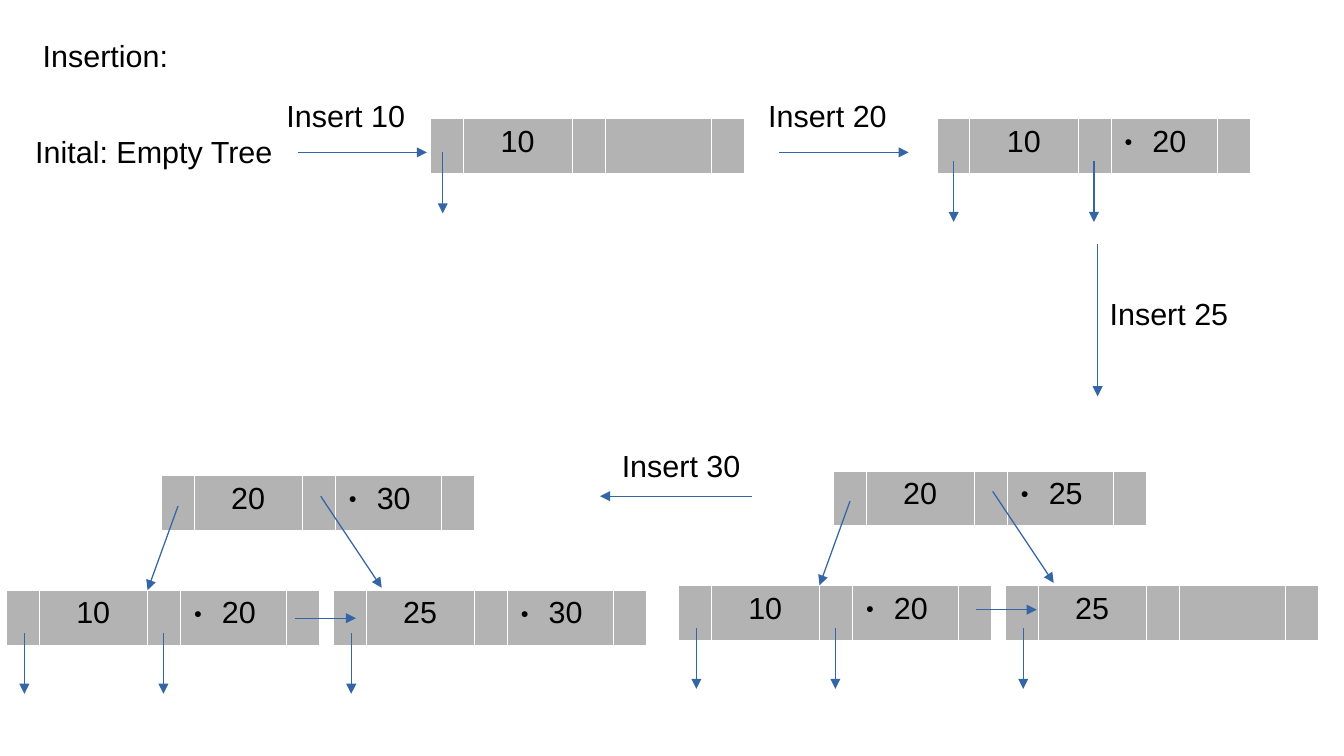
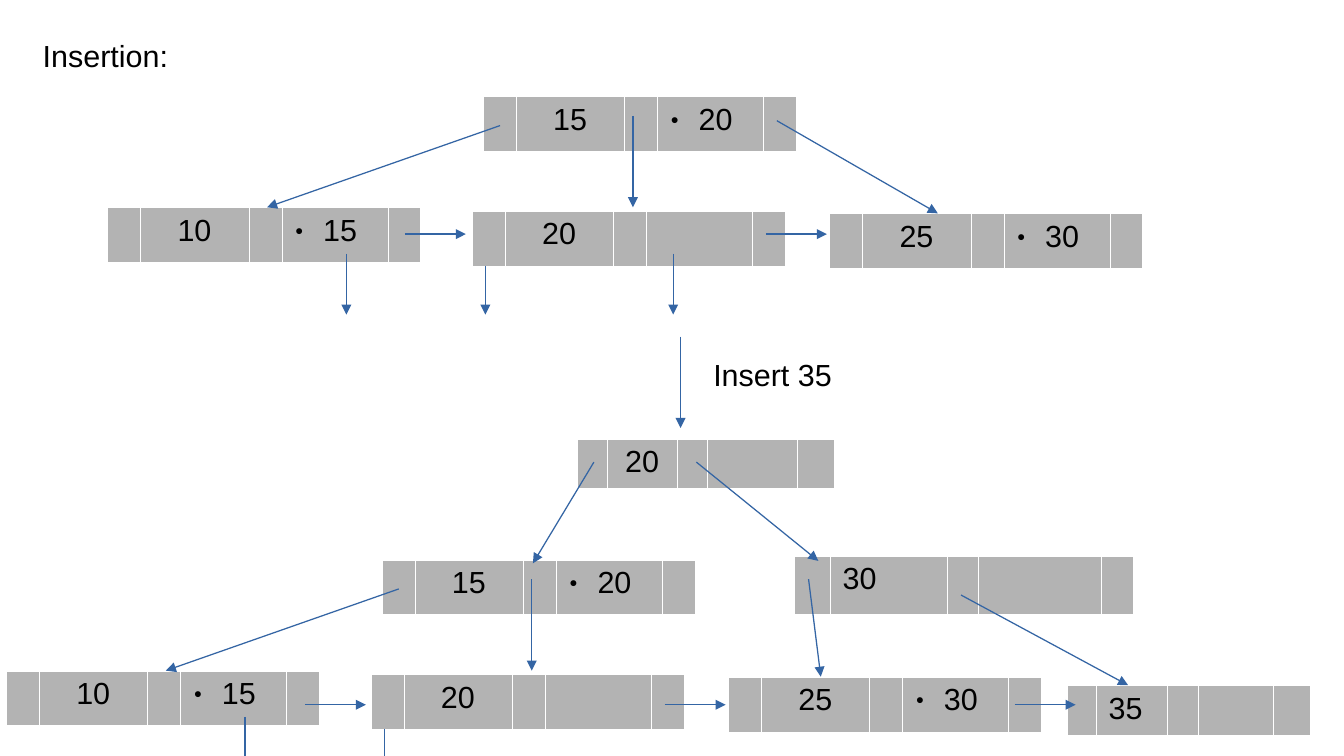
"""Builds two slides that show insertions into a B+ tree."""
from lxml.etree import SubElement
from pptx import Presentation
from pptx.dml.color import RGBColor
from pptx.enum.shapes import MSO_CONNECTOR
from pptx.enum.text import MSO_ANCHOR, MSO_AUTO_SIZE, PP_ALIGN
from pptx.oxml.ns import qn
from pptx.util import Inches, Pt

BLACK = RGBColor(0, 0, 0)
WHITE = RGBColor(0xFF, 0xFF, 0xFF)
GREY = RGBColor(0xB3, 0xB3, 0xB3)
BLUE = RGBColor(0x34, 0x65, 0xA4)
FONT = "Arial"
SIZE = Pt(18)
STEP = 0.5
NODE = (0.27, 0.89, 0.27, 0.87, 0.27)
ROOT = (0.25, 0.57, 0.25, 0.74, 0.3)
INNER = (0.3, 0.96, 0.25, 1.01, 0.26)
LAST = (0.24, 0.58, 0.25, 0.62, 0.3)
LEFT, CENTER = PP_ALIGN.LEFT, PP_ALIGN.CENTER


def write(tf, text, align=LEFT, bullet=False, wrap=True):
    tf.margin_left = tf.margin_right = Inches(0.1)
    tf.margin_top = tf.margin_bottom = Inches(0.05)
    tf.word_wrap = wrap
    p = tf.paragraphs[0]
    p.alignment = align
    r = p.add_run()
    r.text = text
    r.font.size, r.font.name, r.font.bold = SIZE, FONT, False
    r.font.color.rgb = BLACK
    if bullet:
        pPr = p._p.get_or_add_pPr()
        pPr.set("marL", str(Inches(0.24)))
        pPr.set("indent", str(Inches(-0.23)))
        color = SubElement(pPr, qn("a:buClr"))
        SubElement(color, qn("a:srgbClr"), val=str(BLACK))
        SubElement(pPr, qn("a:buSzPct"), val="45000")
        SubElement(pPr, qn("a:buFont"), typeface=FONT)
        SubElement(pPr, qn("a:buChar"), char="●")


def add_arrow(s, x1, y1, x2, y2):
    c = s.shapes.add_connector(MSO_CONNECTOR.STRAIGHT, *map(Inches, (x1, y1, x2, y2)))
    c.line.color.rgb = BLUE
    c.line.width = Pt(0.75)
    SubElement(c.line._get_or_add_ln(), qn("a:tailEnd"), type="triangle")
    SubElement(c._element.spPr, qn("a:effectLst"))


first = {
    "labels": [("Inital: Empty Tree", 0.19, 1.04, 2.25), ("Insert 10", 2.25, 0.75, 1.25),
               ("Insert 20", 6.2, 0.75, 1.25), ("Insert 25", 9, 2.37, 1.25),
               ("Insert 30", 5, 3.62, 1.25)],
    "nodes": [(3.53, 0.97, "10", ""), (7.68, 0.97, "10", "20")],
    "drops": [(3.63, 1.25), (7.82, 1.32), (8.97, 1.32)],
    "links": [(8, 5), (2.42, 5.07)],
    "arrows": [(2.44, 1.25, 3.5, 1.25), (6.39, 1.25, 7.45, 1.25),
               (9, 2, 9, 3.25), (6.17, 4.07, 4.92, 4.07)],
}
for x, y, top_key, leaf_key in [(5.56, 4.8, "25", ""), (0.05, 4.84, "30", "30")]:
    first["nodes"] += [(x, y, "10", "20"), (x + 2.68, y, "25", leaf_key),
                       (x + 1.27, y - 0.94, "20", top_key)]
    first["drops"] += [(x + dx, y + 0.35) for dx in (0.15, 1.29, 2.83)]
    first["arrows"] += [(x + 1.41, y - 0.69, x + 1.16, y),
                        (x + 2.58, y - 0.77, x + 3.08, y - 0.02)]

second = {
    "labels": [("Insert 35", 5.75, 2.87, 1.25)],
    "nodes": [(4.73, 3.6, "20", "", ROOT, 0.38), (6.51, 4.56, "30", "", INNER, 0.48, LEFT),
              (8.75, 5.62, "35", "", LAST, 0.38, LEFT)],
    "drops": [(5.52, 2.08)],
    "links": [(3.32, 1.92), (6.28, 1.92), (2.5, 5.78), (5.45, 5.78), (8.32, 5.78)],
    "arrows": [(6.37, 0.99, 7.69, 1.75), (5.58, 2.76, 5.58, 3.51),
               (6.63, 4.75, 6.73, 5.55), (4.87, 3.79, 4.37, 4.62),
               (5.71, 3.79, 6.71, 4.6), (7.88, 4.88, 9.25, 5.62)],
}
for x, y in [(0.88, 1.7), (0.05, 5.5)]:
    second["nodes"] += [(x, y, "10", "15"), (x + 2.99, y + 0.03, "20", ""),
                        (x + 5.92, y + 0.05, "25", "30"), (x + 3.08, y - 0.91, "15", "20")]
    second["drops"] += [(x + 1.96, y + 0.38)]
    second["arrows"] += [(x + 3.1, y + 0.48, x + 3.1, y + 0.88),
                         (x + 3.22, y - 0.67, x + 1.31, y),
                         (x + 4.31, y - 0.75, x + 4.31, y)]

prs = Presentation()
prs.slide_width, prs.slide_height = Inches(11.02), Inches(6.2)

for content in (first, second):
    s = prs.slides.add_slide(prs.slide_layouts[5])
    title = s.shapes.title
    title.left, title.top, title.width, title.height = map(Inches, (0.25, 0.25, 1.25, 0.37))
    title.text_frame.auto_size = MSO_AUTO_SIZE.NONE
    title.text_frame.vertical_anchor = MSO_ANCHOR.TOP
    write(title.text_frame, "Insertion:")

    for x, y, key, second_key, *style in content["nodes"]:
        widths, height, align = style + [NODE, 0.45, CENTER][len(style):]
        frame = s.shapes.add_table(1, len(widths), *map(Inches, (x, y, sum(widths), height)))
        table = frame.table
        table.first_row = table.horz_banding = False
        for column, width in zip(table.columns, widths):
            column.width = Inches(width)
        for i, cell in enumerate(table.rows[0].cells):
            tcPr = cell._tc.get_or_add_tcPr()
            for side in "LRTB":
                ln = SubElement(tcPr, qn("a:ln" + side), w=str(Pt(0.06)))
                fill = SubElement(ln, qn("a:solidFill"))
                SubElement(fill, qn("a:srgbClr"), val=str(WHITE))
            cell.fill.solid()
            cell.fill.fore_color.rgb = GREY
            cell.margin_left = cell.margin_right = Inches(0.1)
            cell.margin_top = cell.margin_bottom = Inches(0.05)
            if i == 1:
                write(cell.text_frame, key, align=align, wrap=None)
            elif i == 3 and second_key:
                write(cell.text_frame, second_key, bullet=True, wrap=None)

    for x, y in content["drops"]:
        add_arrow(s, x, y, x, y + STEP)
    for x, y in content["links"]:
        add_arrow(s, x, y, x + STEP, y)
    for ends in content["arrows"]:
        add_arrow(s, *ends)

    for text, x, y, width in content["labels"]:
        box = s.shapes.add_textbox(*map(Inches, (x, y, width, 0.38)))
        write(box.text_frame, text)

prs.save("out.pptx")
